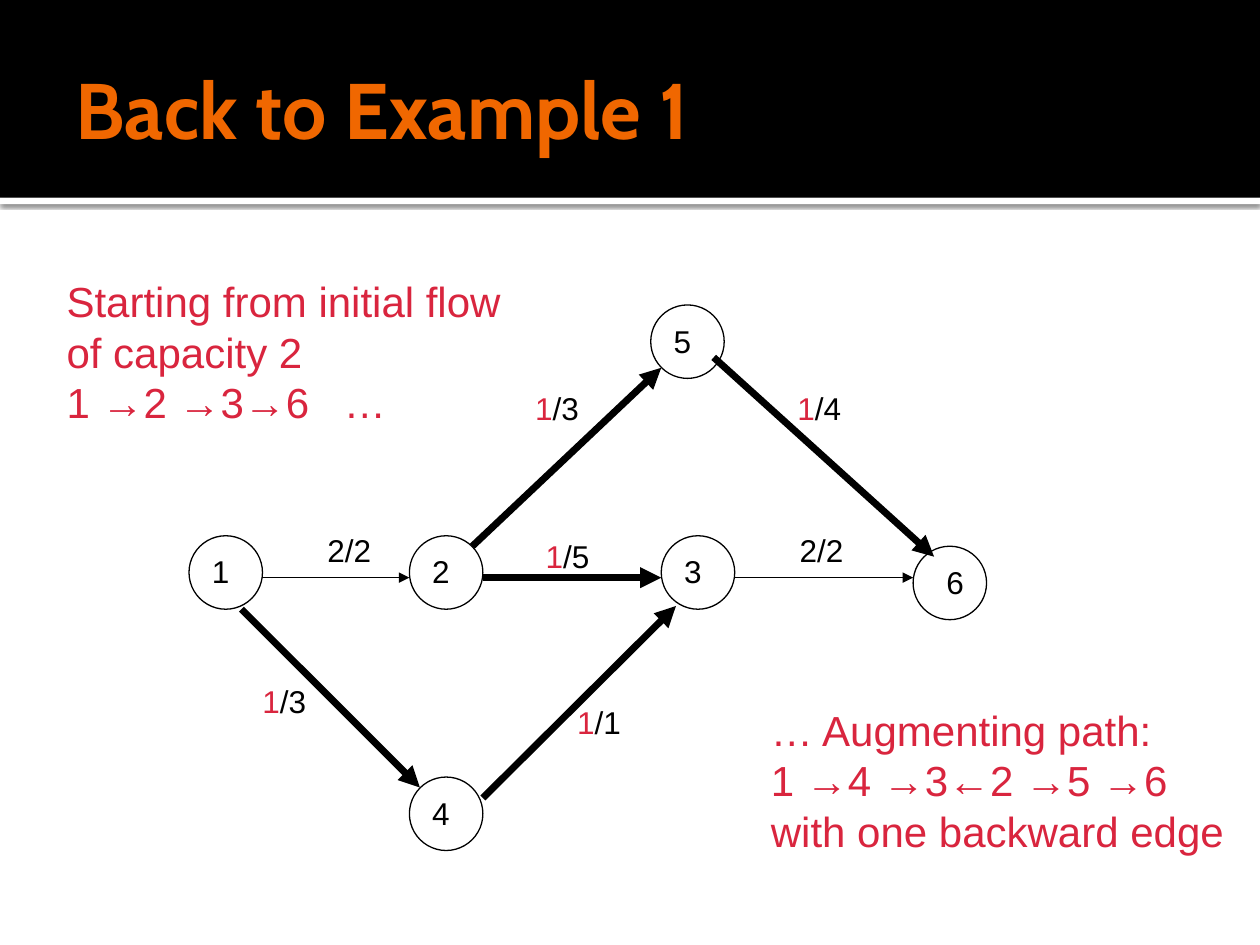
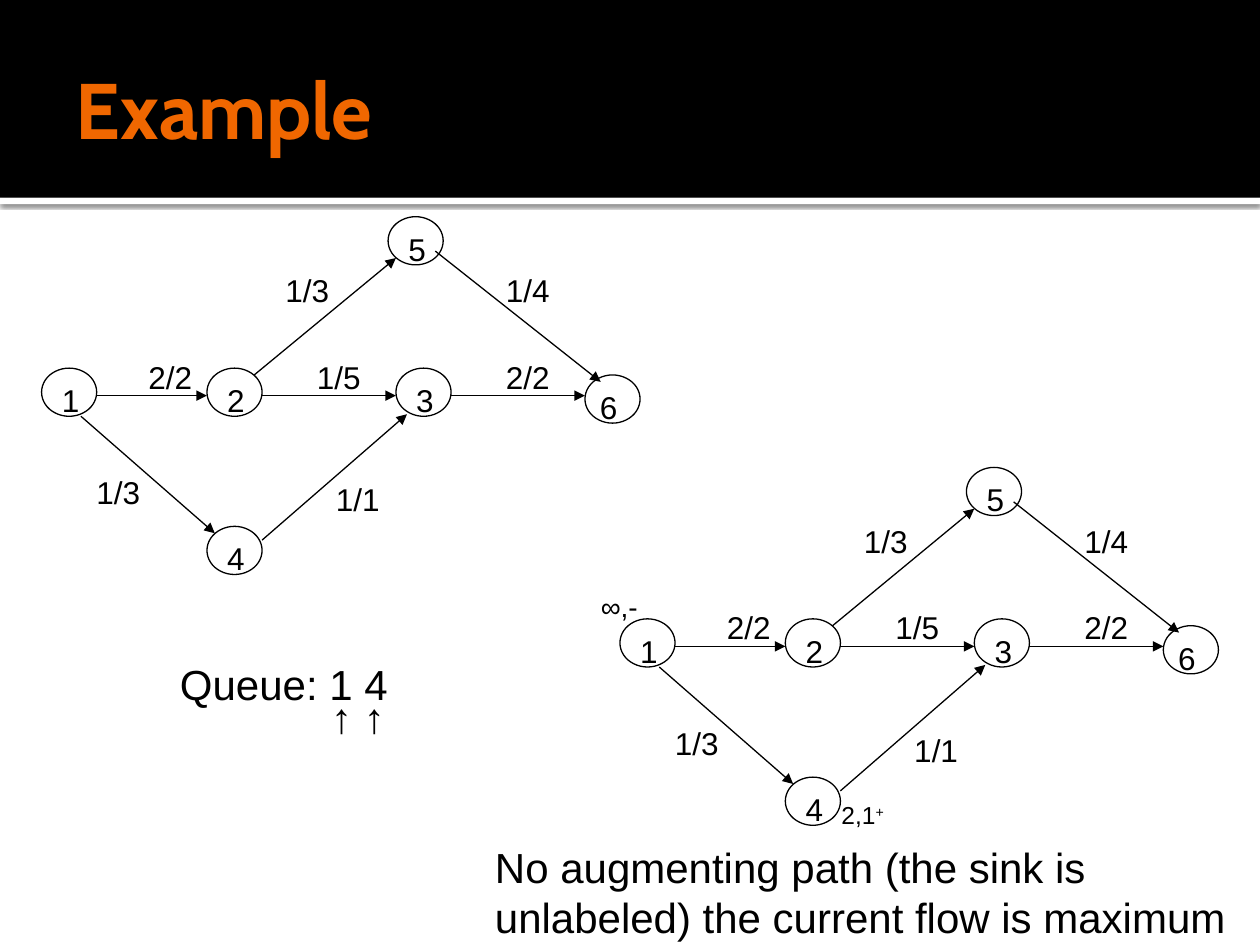
from dataclasses import dataclass

from lxml import etree
from pptx import Presentation
from pptx.dml.color import RGBColor
from pptx.enum.shapes import MSO_CONNECTOR, MSO_SHAPE
from pptx.enum.text import MSO_ANCHOR, MSO_AUTO_SIZE, PP_ALIGN
from pptx.oxml.ns import qn
from pptx.util import Emu, Inches, Pt

ELLIPSE, RECTANGLE = MSO_SHAPE.OVAL, MSO_SHAPE.RECTANGLE
STRAIGHT = MSO_CONNECTOR.STRAIGHT
MIDDLE, LEFT = MSO_ANCHOR.MIDDLE, PP_ALIGN.LEFT
FIT_SHAPE = MSO_AUTO_SIZE.SHAPE_TO_FIT_TEXT

BLACK, WHITE, ORANGE, RED = "000000", "FFFFFF", "F06700", "D9253E"
BODY_FONT, TITLE_FONT = "Arial", "Cabin"
TITLE_ONLY = 5
SLIDE_WIDTH, SLIDE_HEIGHT = 10, 7.5
BAND_HEIGHT, RULE_HEIGHT = 1.57, 0.05

# The flow network lies on a grid of 76 columns and 52 rows.
COLUMNS, ROWS, NODE_SPAN = 76, 52, 7
NODES = {
    "1": (0, 22), "2": (21, 22), "3": (45, 22),
    "4": (21, 45), "5": (44, 0), "6": (69, 23),
}
# Flow/capacity, start and end of each edge
EDGES = {
    "1-4": ("1/3", (5, 29), (22, 46)),
    "1-2": ("2/2", (7, 26), (21, 26)),
    "2-5": ("1/3", (27, 23), (45, 6)),
    "2-3": ("1/5", (28, 26), (45, 26)),
    "4-3": ("1/1", (28, 47), (46.4, 28.7)),
    "3-6": ("2/2", (52, 26), (69, 26)),
    "5-6": ("1/4", (50, 5), (71, 24)),
}
LARGE_LABELS = {
    "1-4": (5.8, 35.4), "1-2": (12, 21), "2-5": (31.8, 7.4), "2-3": (32.8, 21.5),
    "4-3": (35.8, 37.4), "3-6": (57, 21), "5-6": (56.8, 7.4),
}
SMALL_LABELS = {
    "1-4": (5.4, 36.4), "1-2": (12, 19.6), "2-5": (29.4, 7), "2-3": (33.4, 19.6),
    "4-3": (35.8, 37.4), "3-6": (57.4, 19.6), "5-6": (57.4, 7),
}


@dataclass
class Box:
    left: float
    top: float
    width: float
    height: float

    def inches(self):
        return [Inches(v) for v in (self.left, self.top, self.width, self.height)]

    def cell(self, column, row):
        """Position in inches of a point on the network grid in this box."""
        return (self.left + column * self.width / COLUMNS,
                self.top + row * self.height / ROWS)


def color(hex_code):
    return RGBColor.from_string(hex_code)


def add_effects(shape):
    return etree.SubElement(shape.element.spPr, qn("a:effectLst"))


def format_run(run, size=18, font=BODY_FONT, hex_code=BLACK, bold=False, baseline=None):
    run.font.size, run.font.name, run.font.bold = Pt(size), font, bold
    run.font.color.rgb = color(hex_code)
    if baseline:
        run.font.fill  # the run properties exist from here on
        run.font._rPr.set("baseline", str(baseline * 1000))


def add_text(shapes, box, paragraphs, wrap=False, line_spacing=None, space_before=0,
             **run_format):
    """Each paragraph is a string, or a list of (text, extra format) runs."""
    text_box = shapes.add_textbox(*box.inches())
    frame = text_box.text_frame
    frame.word_wrap, frame.auto_size = wrap, FIT_SHAPE
    for index, content in enumerate(paragraphs):
        paragraph = frame.add_paragraph() if index else frame.paragraphs[0]
        if index and space_before:
            paragraph.space_before = Pt(space_before)
        if line_spacing:
            paragraph.line_spacing = line_spacing
        if isinstance(content, str):
            paragraph.text = content
            for run in paragraph.runs:
                format_run(run, **run_format)
            continue
        for text, extra in content:
            run = paragraph.add_run()
            run.text = text
            format_run(run, **{**run_format, **extra})
    return text_box


def add_arrow(shapes, start, end, width):
    points = [Inches(v) for v in (*start, *end)]
    arrow = shapes.add_connector(STRAIGHT, *points)
    arrow.line.color.rgb, arrow.line.width = color(BLACK), Pt(width)
    etree.SubElement(arrow.line._get_or_add_ln(), qn("a:tailEnd"), type="triangle")
    add_effects(arrow)


def add_network(slide, box, labels, sink_shift, highlight=False):
    """Draw the flow network; highlight marks the edges that carry one unit."""
    shapes = slide.shapes.add_group_shape().shapes
    node_width = NODE_SPAN * box.width / COLUMNS
    node_height = NODE_SPAN * box.height / ROWS
    for position in NODES.values():
        node = shapes.add_shape(
            ELLIPSE, *Box(*box.cell(*position), node_width, node_height).inches())
        node.shadow.inherit = False
        node.fill.background()
        node.line.color.rgb, node.line.width = color(BLACK), Pt(0.75)
    for flow, start, end in EDGES.values():
        thick = highlight and flow.startswith("1")
        add_arrow(shapes, box.cell(*start), box.cell(*end), 4 if thick else 0.75)
    for name, (column, row) in NODES.items():
        shift = sink_shift if name == "6" else 1
        add_text(shapes, Box(*box.cell(column + shift, row + 1), 0.34, 0.4), [name])
    for edge, position in labels.items():
        flow = EDGES[edge][0]
        content = flow
        if highlight and flow.startswith("1"):
            content = [(flow[0], {"hex_code": RED}), (flow[1:], {})]
        add_text(shapes, Box(*box.cell(*position), 0.55, 0.4), [content])


def add_band(shapes, top, height, hex_code):
    band = shapes.add_shape(RECTANGLE, *Box(0, top, SLIDE_WIDTH, height).inches())
    band.fill.solid()
    band.fill.fore_color.rgb = color(hex_code)
    band.line.fill.background()
    return band


def set_up_layout(layout, slide):
    """Give the layout its title box and the header bands, made on the slide."""
    for placeholder in list(layout.placeholders):
        if placeholder.placeholder_format.idx:
            layout.shapes.element.remove(placeholder.element)
    title = layout.placeholders[0]
    title.left, title.top, title.width, title.height = Box(0.5, 0.17, 9, 1.37).inches()
    rule = add_band(slide.shapes, BAND_HEIGHT, RULE_HEIGHT, WHITE)
    shadow = etree.SubElement(add_effects(rule), qn("a:outerShdw"), blurRad=str(Pt(2.5)),
                              dist=str(Pt(0.8)), dir="5400000", rotWithShape="0")
    shade = etree.SubElement(shadow, qn("a:srgbClr"), val=BLACK)
    etree.SubElement(shade, qn("a:alpha"), val="60000")
    header = add_band(slide.shapes, 0, BAND_HEIGHT, BLACK)
    header.shadow.inherit = False
    for offset, band in enumerate((rule, header)):
        layout.shapes.element.insert(2 + offset, band.element)


def set_title(slide, text):
    frame = slide.shapes.title.text_frame
    frame.text = text
    frame.vertical_anchor = MIDDLE
    frame.margin_left = Inches(0.1)
    frame.margin_right = frame.margin_top = frame.margin_bottom = Inches(0.05)
    paragraph = frame.paragraphs[0]
    paragraph.alignment = LEFT
    format_run(paragraph.runs[0], 45, TITLE_FONT, ORANGE, True)


def fill_augmenting_path(slide):
    set_title(slide, "Back to Example 1")
    add_network(slide, Box(1.5, 2.42, 6.33, 4.33), LARGE_LABELS, 2, highlight=True)
    add_text(slide.shapes, Box(6.02, 5.54, 3.84, 1.31),
             ["… Augmenting path:", "1 →4 →3←2 →5 →6\vwith one backward edge"],
             size=24, hex_code=RED)
    start = add_text(slide.shapes, Box(0.43, 2.14, 3.68, 1.31),
                     ["Starting from initial flow\vof capacity 2\v1 →2 →3→6\t…"],
                     size=24, hex_code=RED)
    properties = start.text_frame.paragraphs[0]._p.get_or_add_pPr()
    stops = etree.SubElement(properties, qn("a:tabLst"))
    etree.SubElement(stops, qn("a:tab"), pos=str(Inches(2.2)), algn="l")


def fill_maximum_flow(slide):
    set_title(slide, "Example")
    for left, top in ((0.33, 1.72), (4.92, 3.71)):
        add_network(slide, Box(left, top, 4.75, 2.84), SMALL_LABELS, 0.33)
    add_text(slide.shapes, Box(4.67, 4.63, 0.5, 0.37), ["∞,-"], wrap=True, size=16)
    add_text(slide.shapes, Box(6.58, 6.3, 0.58, 0.33),
             [[("2,1", {}), ("+", {"baseline": 30})]], wrap=True, size=14)
    add_text(slide.shapes, Box(3.83, 6.63, 6.08, 0.91),
             ["No augmenting path (the sink is unlabeled) the current flow is maximum"],
             wrap=True, size=24)
    queue = add_text(slide.shapes, Box(1.33, 5.43, 2.42, 0.56), ["Queue: 1 4", "↑ ↑"],
                     wrap=True, size=24, line_spacing=0.25, space_before=12)
    pointers = queue.text_frame.paragraphs[1]._p.get_or_add_pPr()
    pointers.set("marL", str(Inches(1.2)))
    pointers.set("indent", str(Emu(0)))


def main():
    presentation = Presentation()
    presentation.slide_width = Inches(SLIDE_WIDTH)
    presentation.slide_height = Inches(SLIDE_HEIGHT)
    layout = presentation.slide_layouts[TITLE_ONLY]
    first_slide = presentation.slides.add_slide(layout)
    set_up_layout(layout, first_slide)
    fill_augmenting_path(first_slide)
    fill_maximum_flow(presentation.slides.add_slide(layout))
    presentation.save("out.pptx")


if __name__ == "__main__":
    main()
